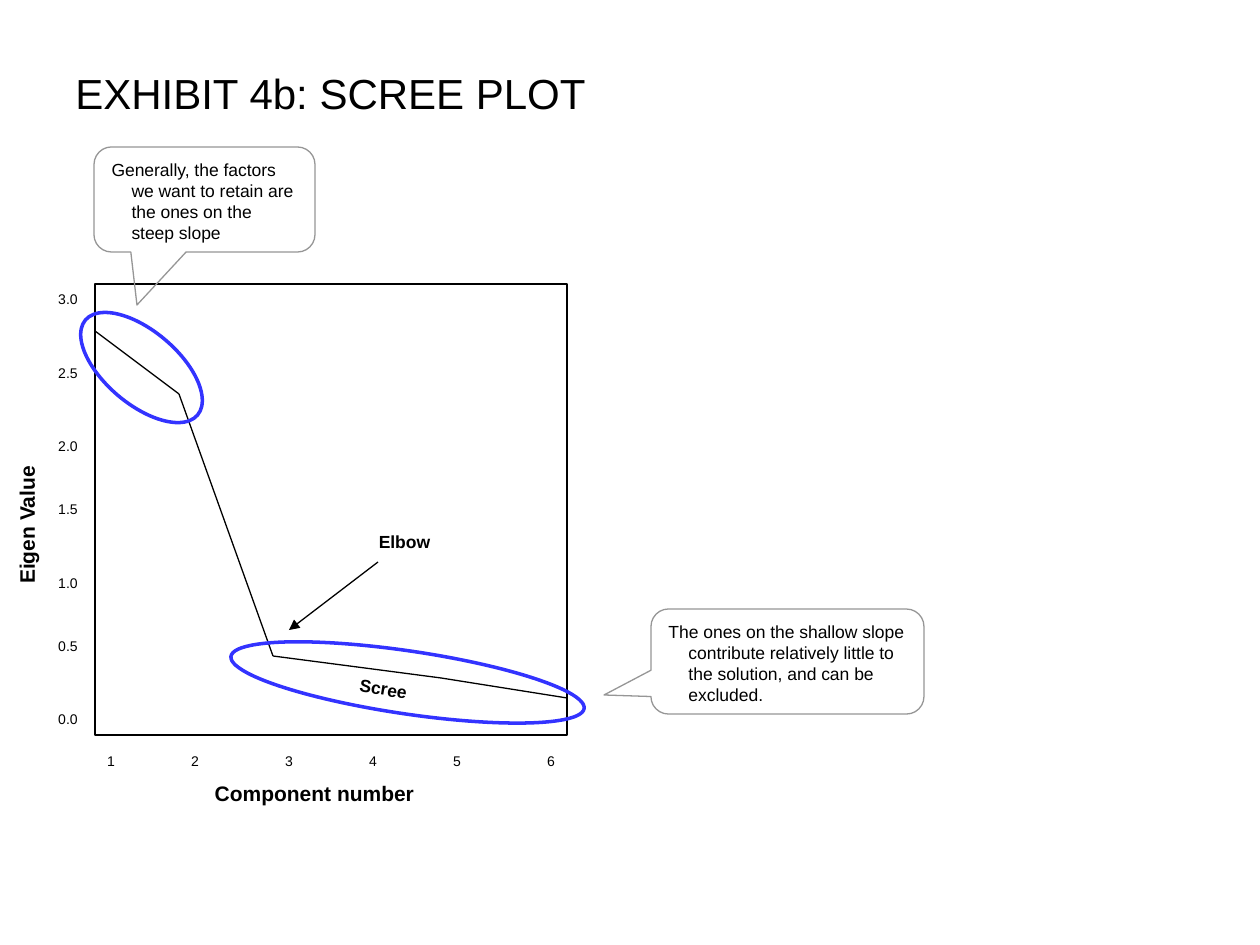
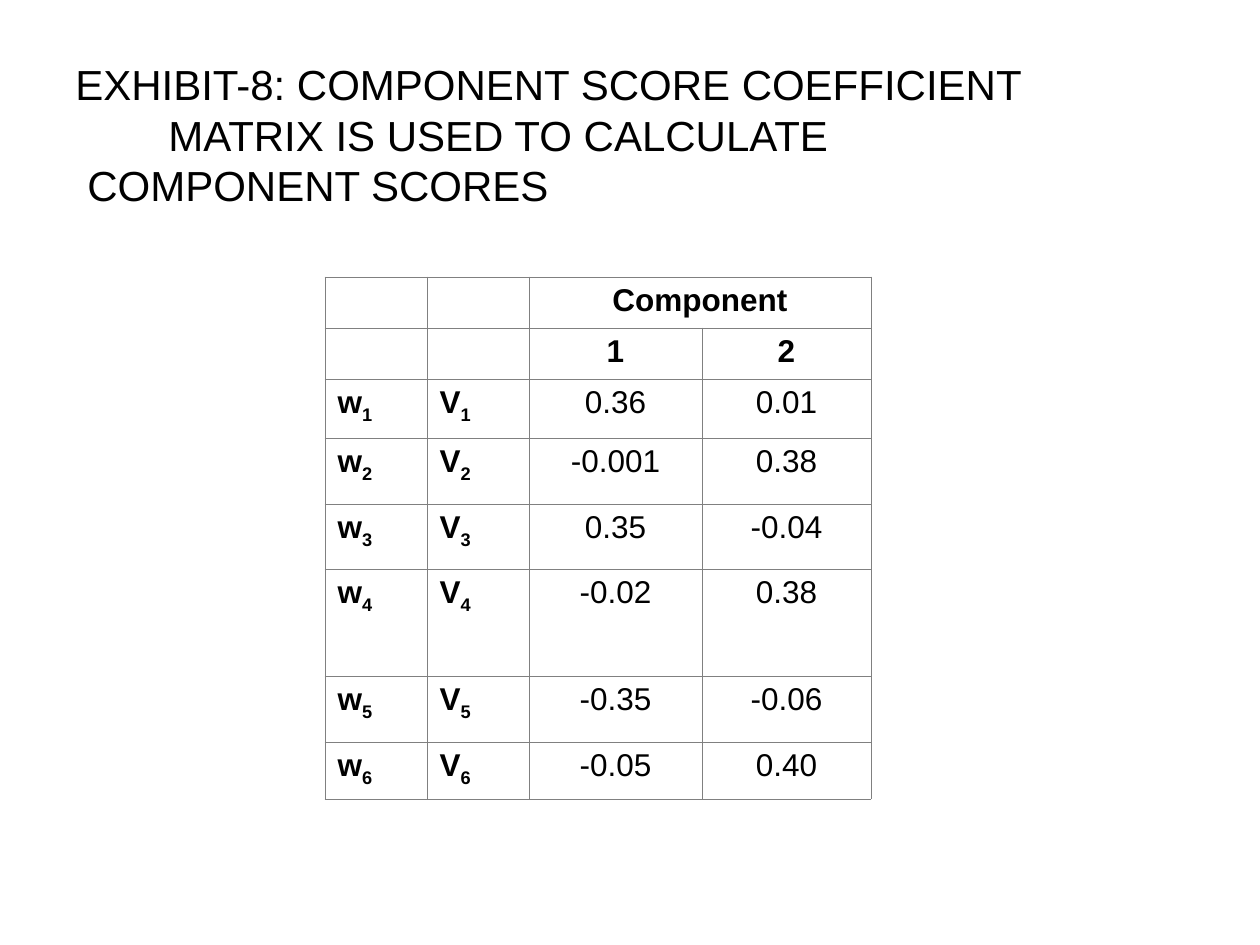
from dataclasses import dataclass
from itertools import pairwise

from lxml.etree import SubElement
from pptx import Presentation
from pptx.dml.color import RGBColor
from pptx.enum.shapes import MSO_CONNECTOR, MSO_SHAPE
from pptx.enum.text import MSO_ANCHOR, PP_ALIGN
from pptx.oxml import parse_xml
from pptx.oxml.ns import nsdecls, qn
from pptx.util import Pt


@dataclass(frozen=True)
class Theme:
    font: str = "Arial"
    ink: str = "000000"
    callout_line: str = "969696"
    ring: str = "3333FF"
    grid: str = "808080"
    title: int = 24
    table: int = 18
    axis_title: int = 12
    note: int = 10
    tick: int = 8
    thin: float = 0.75
    thick: float = 2
    hairline: float = 0.45


THEME = Theme()
EMU_PER_INCH, PX_PER_INCH = 914400, 126
SLIDE_SIZE = (1260, 945)

SCREE_TITLE = {"box": (63, 38, 1134, 110), "lines": [("EXHIBIT 4b: SCREE PLOT", 0)]}
PLOT_FRAME = (95, 284, 472, 451)
EIGEN_TICKS = [("0.0", 703), ("0.5", 630), ("1.0", 567), ("1.5", 493),
               ("2.0", 430), ("2.5", 357), ("3.0", 283)]
COMPONENT_TICKS = [("1", 95), ("2", 179), ("3", 273), ("4", 357), ("5", 441), ("6", 535)]
EIGEN_TICK_LEFT, COMPONENT_TICK_TOP, TICK_SIZE = 52, 745, 32
SCREE_POINTS = [(95, 331), (179, 394), (273, 656), (357, 667), (441, 678), (567, 698)]
PLOT_LABELS = [
    ("Component number", (115, 777, 399, 32), 0, THEME.axis_title),
    ("Eigen Value", (-173, 509, 399, 32), 270, THEME.axis_title),
    ("Elbow", (368, 525, 73, 32), 0, THEME.note),
    ("Scree", (294, 676, 179, 25), 9.4, THEME.note),
]
CALLOUTS = [
    ("Generally, the factors we want to retain are the ones on the steep slope",
     (94, 147, 221, 105), (137, 305)),
    ("The ones on the shallow slope contribute relatively little to the solution, "
     "and can be excluded.", (651, 609, 273, 105), (604, 695)),
]
CALLOUT_INDENT = 20
SLOPE_RINGS = [((68, 331, 147, 73), 40.3), ((229, 651, 357, 63), 8.4)]
ELBOW_ARROW = ((378, 562), (289, 630))

SCORE_TITLE = {
    "box": (63, 59, 1124, 151),
    "lines": [("EXHIBIT-8: COMPONENT SCORE COEFFICIENT", 0),
              ("MATRIX IS USED TO CALCULATE", 93),
              ("COMPONENT SCORES", 12)],
}
SCORES = [("0.36", "0.01"), ("-0.001", "0.38"), ("0.35", "-0.04"),
          ("-0.02", "0.38"), ("-0.35", "-0.06"), ("-0.05", "0.40")]
TABLE_CORNER = (325, 277)
COLUMN_WIDTHS = [102, 102, 173, 169]
ROW_HEIGHTS = [51, 51, 59, 66, 65, 107, 66, 57]


def px(length):
    return round(length * EMU_PER_INCH / PX_PER_INCH)


def place(lengths):
    return [px(length) for length in lengths]


def style_span(span, size, bold=False):
    span.font.name = THEME.font
    span.font.size = Pt(size)
    span.font.bold = bold
    span.font.color.rgb = RGBColor.from_string(THEME.ink)


def style_para(para, size, bold=False, align=PP_ALIGN.LEFT, margin=0, indent=0):
    para.alignment = align
    properties = para._p.get_or_add_pPr()
    properties.set("marL", str(px(margin)))
    properties.set("indent", str(px(indent)))
    for span in para.runs:
        style_span(span, size, bold)


def add_label(page, text, box, size, bold=False, rotation=0):
    label = page.shapes.add_textbox(*place(box))
    label.rotation = rotation
    frame = label.text_frame
    frame.word_wrap = False
    frame.margin_left = frame.margin_right = 0
    frame.vertical_anchor = MSO_ANCHOR.MIDDLE
    frame.text = text
    style_para(frame.paragraphs[0], size, bold, PP_ALIGN.CENTER)


def add_title(page, title):
    frame = page.shapes.add_textbox(*place(title["box"])).text_frame
    frame.word_wrap = True
    frame.vertical_anchor = MSO_ANCHOR.MIDDLE
    frame.text = "\n".join(text for text, margin in title["lines"])
    for para, (text, margin) in zip(frame.paragraphs, title["lines"]):
        style_para(para, THEME.title, margin=margin)


def add_outline(page, kind, box, color, width, rotation=0):
    shape = page.shapes.add_shape(kind, *place(box))
    shape.shadow.inherit = False
    shape.fill.background()
    shape.line.color.rgb = RGBColor.from_string(color)
    shape.line.width = Pt(width)
    shape.rotation = rotation
    return shape


def add_line(page, start, end, arrow=False):
    line = page.shapes.add_connector(MSO_CONNECTOR.STRAIGHT, *place(start + end))
    line.line.color.rgb = RGBColor.from_string(THEME.ink)
    line.line.width = Pt(THEME.thin)
    if arrow:
        SubElement(line._element.spPr.find(qn("a:ln")), qn("a:tailEnd"), type="triangle")
    SubElement(line._element.spPr, qn("a:effectLst"))


def add_callout(page, text, box, tip):
    left, top, width, height = box
    callout = add_outline(page, MSO_SHAPE.ROUNDED_RECTANGULAR_CALLOUT, box,
                          THEME.callout_line, THEME.thin)
    callout.adjustments[0] = (tip[0] - left - width / 2) / width
    callout.adjustments[1] = (tip[1] - top - height / 2) / height
    frame = callout.text_frame
    frame.word_wrap = True
    frame.vertical_anchor = MSO_ANCHOR.TOP
    frame.margin_top = px(7)
    frame.text = text
    style_para(frame.paragraphs[0], THEME.note, margin=CALLOUT_INDENT, indent=-CALLOUT_INDENT)


def fill_cell(cell, text, bold=False, align=PP_ALIGN.CENTER, subscript=""):
    cell.text = text
    para = cell.text_frame.paragraphs[0]
    if subscript:
        span = para.add_run()
        span.text = subscript
        span._r.get_or_add_rPr().set("baseline", "-25000")
    style_para(para, THEME.table, bold, align)


def border_cell(cell):
    cell.fill.background()
    properties = cell._tc.get_or_add_tcPr()
    for position, side in enumerate(("lnL", "lnR", "lnT", "lnB")):
        properties.insert(position, parse_xml(
            f'<a:{side} {nsdecls("a")} w="{Pt(THEME.hairline)}"><a:solidFill>'
            f'<a:srgbClr val="{THEME.grid}"/></a:solidFill></a:{side}>'))


def build_scree_plot(page):
    add_title(page, SCREE_TITLE)
    add_outline(page, MSO_SHAPE.RECTANGLE, PLOT_FRAME, THEME.ink, THEME.thin)
    for text, top in EIGEN_TICKS:
        add_label(page, text, (EIGEN_TICK_LEFT, top, TICK_SIZE, TICK_SIZE), THEME.tick)
    for text, left in COMPONENT_TICKS:
        add_label(page, text, (left, COMPONENT_TICK_TOP, TICK_SIZE, TICK_SIZE), THEME.tick)
    for start, end in pairwise(SCREE_POINTS):
        add_line(page, start, end)
    for text, box, tip in CALLOUTS:
        add_callout(page, text, box, tip)
    for box, rotation in SLOPE_RINGS:
        add_outline(page, MSO_SHAPE.OVAL, box, THEME.ring, THEME.thick, rotation)
    add_line(page, *ELBOW_ARROW, arrow=True)
    for text, box, rotation, size in PLOT_LABELS:
        add_label(page, text, box, size, bold=True, rotation=rotation)


def build_score_matrix(page):
    add_title(page, SCORE_TITLE)
    box = (*TABLE_CORNER, sum(COLUMN_WIDTHS), sum(ROW_HEIGHTS))
    table = page.shapes.add_table(len(ROW_HEIGHTS), len(COLUMN_WIDTHS), *place(box)).table
    table.first_row = table.horz_banding = False
    for column, width in zip(table.columns, COLUMN_WIDTHS):
        column.width = px(width)
    for row, height in zip(table.rows, ROW_HEIGHTS):
        row.height = px(height)
    for cell in table.iter_cells():
        border_cell(cell)
    table.cell(0, 2).merge(table.cell(0, 3))
    fill_cell(table.cell(0, 2), "Component", bold=True)
    for component in (1, 2):
        fill_cell(table.cell(1, component + 1), str(component), bold=True)
    for number, scores in enumerate(SCORES, 1):
        for column, letter in enumerate("wV"):
            fill_cell(table.cell(number + 1, column), letter, bold=True,
                      align=PP_ALIGN.JUSTIFY, subscript=str(number))
        for column, score in enumerate(scores, 2):
            fill_cell(table.cell(number + 1, column), score)


def main():
    deck = Presentation()
    deck.slide_width, deck.slide_height = place(SLIDE_SIZE)
    for build in (build_scree_plot, build_score_matrix):
        build(deck.slides.add_slide(deck.slide_layouts[6]))
    deck.save("out.pptx")


if __name__ == "__main__":
    main()
